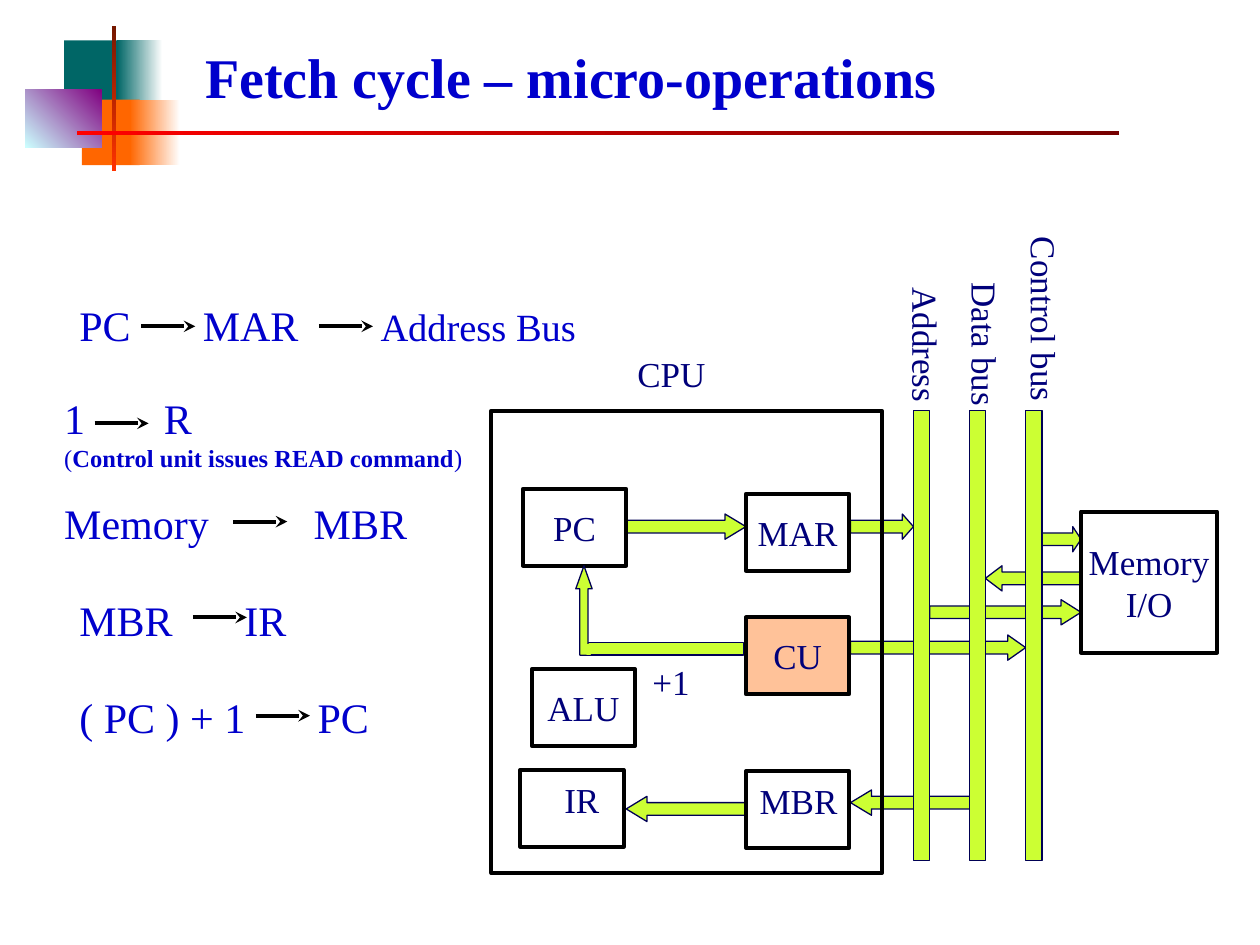
from pptx import Presentation
from pptx import util as u
from pptx.dml.color import RGBColor
from pptx.enum import shapes, text
from pptx.oxml.ns import qn
from lxml import etree

I = u.Inches
SHAPE = shapes.MSO_SHAPE
FONT = "Times New Roman"
COLORS = {
    "title": "0000CC", "label": "00007A", "black": "000000", "white": "FFFFFF",
    "lime": "CCFF33", "navy": "000054", "peach": "FFC299",
    "teal": "006666", "orange": "FF6600", "purple": "800080", "ice": "CCFFFF",
    "brown": "761800", "flame": "FF3300", "red": "FF0000", "maroon": "760000",
}


def rgb(name):
    return RGBColor.from_string(COLORS[name])


def write(tf, lines, size=20, color="label", bold=False, align=None,
          anchor=text.MSO_ANCHOR.TOP, wrap=False, margins=(0.1, 0.05),
          tabs=(), vertical=False):
    """Each line is a list of (text, overrides) runs or a plain string."""
    tf.word_wrap = wrap
    tf.vertical_anchor = anchor
    mx, my = margins
    tf.margin_left = tf.margin_right = I(mx)
    tf.margin_top = tf.margin_bottom = I(my)
    if vertical:
        tf._txBody.bodyPr.set("vert", "eaVert")
    for i, line in enumerate(lines):
        p = tf.paragraphs[0] if i == 0 else tf.add_paragraph()
        p.alignment = align
        if tabs:
            tab_list = etree.SubElement(p._p.get_or_add_pPr(), qn("a:tabLst"))
            for pos in tabs:
                etree.SubElement(tab_list, qn("a:tab"), pos=str(I(pos)), algn="l")
        for words, fmt in [(line, {})] if isinstance(line, str) else line:
            r = p.add_run()
            r.text = words
            r.font.name = FONT
            r.font.size = u.Pt(fmt.get("size", size))
            r.font.bold = fmt.get("bold", bold)
            r.font.color.rgb = rgb(color)


def add_text(s, box, lines, **fmt):
    sp = s.shapes.add_textbox(*map(I, box))
    write(sp.text_frame, lines, **fmt)


def add_shape(s, box, fill=None, line=None, width=0.75, kind=SHAPE.RECTANGLE):
    sp = s.shapes.add_shape(kind, *map(I, box))
    sp.shadow.inherit = False
    if fill:
        sp.fill.solid()
        sp.fill.fore_color.rgb = rgb(fill)
    else:
        sp.fill.background()
    if line:
        sp.line.color.rgb = rgb(line)
        sp.line.width = u.Pt(width)
    else:
        sp.line.fill.background()
    return sp


def add_gradient(s, box, start, end, angle):
    sp = add_shape(s, box)
    sp.fill.gradient()
    sp.fill.gradient_angle = angle
    for stop, name in zip(sp.fill.gradient_stops, (start, end)):
        stop.color.rgb = rgb(name)


def add_unit(s, box, lines=(), fill=None):
    sp = add_shape(s, box, fill, "black", 2.25)
    if lines:
        write(sp.text_frame, lines, align=text.PP_ALIGN.CENTER,
              anchor=text.MSO_ANCHOR.MIDDLE)


def add_block_arrow(s, box, head, left=False, kind=SHAPE.RIGHT_ARROW):
    sp = add_shape(s, box, "lime", "navy", kind=kind)
    sp.adjustments[0] = 0.5
    sp.adjustments[1] = head
    sp.rotation = 180 if left else 0


def add_thin_arrow(s, x, y, length=0.43):
    c = s.shapes.add_connector(shapes.MSO_CONNECTOR.STRAIGHT,
                               I(x), I(y), I(x + length), I(y))
    c.line.color.rgb = rgb("black")
    c.line.width = u.Pt(2.25)
    etree.SubElement(c.line._get_or_add_ln(), qn("a:tailEnd"), type="stealth")
    etree.SubElement(c._element.spPr, qn("a:effectLst"))


def add_decoration(s):
    add_shape(s, (0.51, 0.32, 0.48, 0.52), "teal")
    add_gradient(s, (0.93, 0.32, 0.36, 0.52), "white", "teal", 180)
    add_shape(s, (0.65, 0.79, 0.46, 0.52), "orange")
    add_gradient(s, (1.03, 0.79, 0.4, 0.52), "white", "orange", 180)
    add_gradient(s, (0.2, 0.71, 0.61, 0.46), "purple", "ice", 225)
    add_gradient(s, (0.89, 0.21, 0.03, 1.15), "brown", "flame", 270)
    add_gradient(s, (0.61, 1.04, 8.27, 0.03), "red", "maroon", 0)


def add_operations(s):
    # left, top, lines, tab stops, arrow starts, arrow height
    operations = [
        (0.63, 2.34, [[("PC\tMAR\t", {}), ("Address Bus", {"size": 22})]],
         (0.98, 2.39), (1.12, 2.53), 2.59),
        (0.51, 3.2, ["1\tR", [("(", {"size": 14}),
                              ("Control unit issues READ command",
                               {"size": 14, "bold": True}),
                              (")", {"size": 14})]],
         (0.79,), (0.75,), 3.36),
        (0.51, 3.91, ["Memory\tMBR"], (1.98,), (1.85,), 4.14),
        (0.63, 4.68, ["MBR\tIR"], (1.31,), (1.53,), 4.9),
        (0.63, 5.45, ["( PC ) + 1\tPC"], (1.89,), (2.03,), 5.68),
    ]
    for left, top, lines, tabs, starts, y in operations:
        add_text(s, (left, top, 4.72, 0.47), lines, size=24, color="title",
                 anchor=text.MSO_ANCHOR.MIDDLE, wrap=True, margins=(0, 0), tabs=tabs)
        for x in starts:
            add_thin_arrow(s, x, y)


def add_diagram(s):
    # Data paths: left, top, width, head ratio, points left
    for x, y, w, head, left in [
        (4.97, 6.32, 0.95, 0.82, True), (4.97, 4.08, 0.95, 0.83, False),
        (6.75, 4.08, 0.5, 0.44, False), (6.75, 6.27, 0.95, 0.83, True),
        (6.75, 5.04, 1.39, 0.71, False), (7.38, 4.76, 1.2, 0.79, False),
        (7.82, 4.49, 0.76, 0.66, True), (8.2, 4.18, 0.38, 0.33, False),
    ]:
        add_block_arrow(s, (x, y, w, 0.2), head, left)

    # Registers and units inside the CPU
    for x, y, lines, fill in [
        (5.92, 6.12, (), None), (5.92, 4.9, ["CU"], "peach"),
        (5.92, 3.92, ["MAR"], None), (4.15, 3.88, ["PC"], None),
        (4.13, 6.11, (), None), (4.22, 5.31, ["ALU"], None),
    ]:
        add_unit(s, (x, y, 0.82, 0.61), lines, fill)
    add_unit(s, (3.9, 3.26, 3.1, 3.67))

    # Buses with their vertical names
    for i, (name, top, height) in enumerate([
        ("Address", 2.18, 1.02), ("Data bus", 2.14, 1.08), ("Control bus", 1.78, 1.41),
    ]):
        add_shape(s, (7.25 + 0.445 * i, 3.26, 0.13, 3.57), "lime", "navy")
        add_text(s, (7.04 + 0.47 * i, top, 0.53, height), [name],
                 margins=(0.05, 0.1), vertical=True)
    add_unit(s, (8.58, 4.06, 1.08, 1.12), ["Memory", "I/O"])

    # Increment path from CU up to PC, with its corner joined
    add_shape(s, (4.63, 5.1, 1.27, 0.1), "lime", "navy")
    add_block_arrow(s, (4.57, 4.49, 0.13, 0.71), 1.41, kind=SHAPE.UP_ARROW)
    add_shape(s, (4.66, 5.12, 0.03, 0.07), "lime", "lime")

    # Free labels
    for label, x, y, w in [("MBR", 5.93, 6.14, 0.82), ("IR", 4.38, 6.13, 0.48),
                           ("CPU", 4.96, 2.75, 0.74), ("+1", 5.08, 5.19, 1.33)]:
        add_text(s, (x, y, w, 0.44), [label], wrap=label == "+1")


def main():
    prs = Presentation()
    prs.slide_width, prs.slide_height = I(10), I(7.5)
    s = prs.slides.add_slide(prs.slide_layouts[6])
    add_decoration(s)
    add_text(s, (1.53, 0.21, 6.63, 0.71), ["Fetch cycle – micro-operations"], size=32,
             color="title", bold=True, anchor=text.MSO_ANCHOR.BOTTOM, wrap=True)
    add_operations(s)
    add_diagram(s)
    prs.save("out.pptx")


if __name__ == "__main__":
    main()
